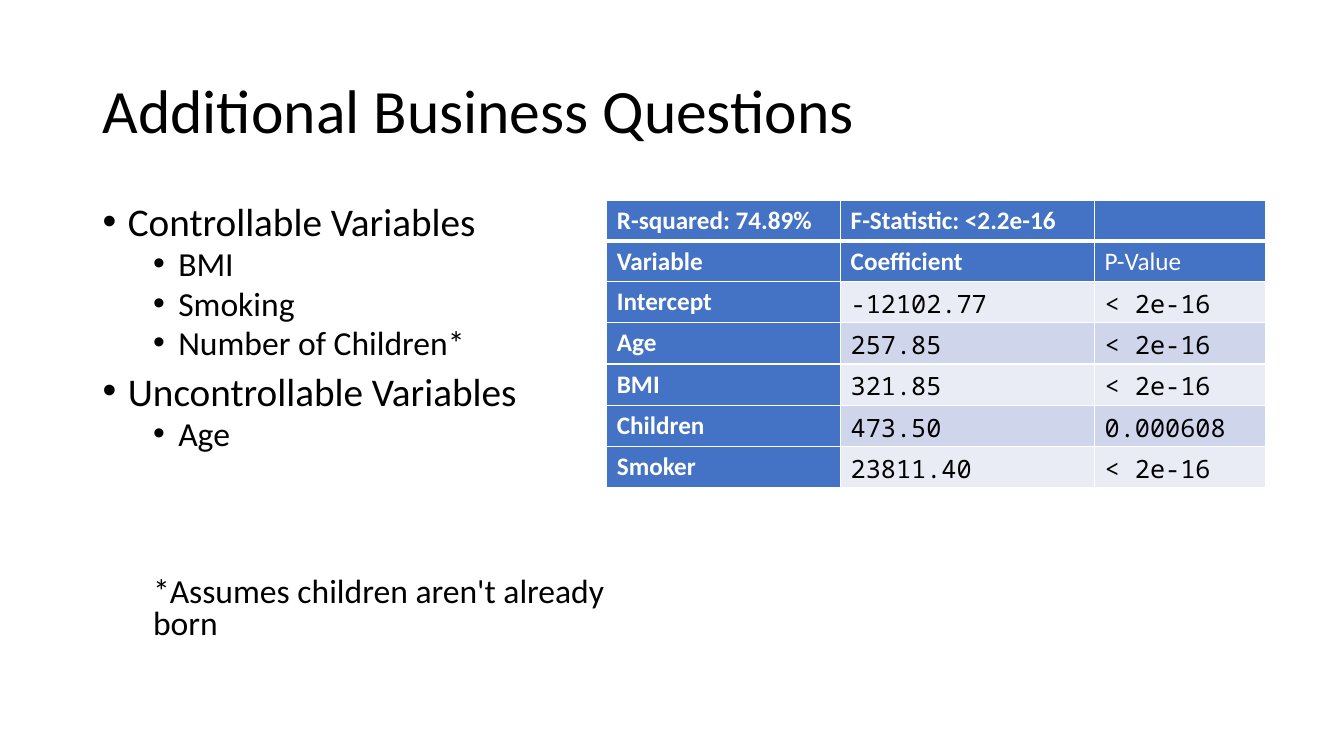
"""Build the slide on additional business questions with its regression table."""
from dataclasses import dataclass

from lxml.etree import SubElement
from pptx import Presentation
from pptx.dml.color import RGBColor as Rgb
from pptx.enum.text import MSO_ANCHOR as Anchor
from pptx.oxml.ns import qn
from pptx.util import Emu, Inches, Pt

TITLE = "Additional Business Questions"
VARIABLES = {
    "Controllable Variables": ["BMI", "Smoking", "Number of Children*"],
    "Uncontrollable Variables": ["Age"],
}
FOOTNOTE = "*Assumes children aren't already born"
REGRESSION = [
    ("R-squared: 74.89%", "F-Statistic: <2.2e-16", ""),
    ("Variable", "Coefficient", "P-Value"),
    ("Intercept", "-12102.77", "< 2e-16"),
    ("Age", "257.85", "< 2e-16"),
    ("BMI", "321.85", "< 2e-16"),
    ("Children", "473.50", "0.000608"),
    ("Smoker", "23811.40", "< 2e-16"),
]
HEADER_ROWS = 2
PLAIN_HEADING = "P-Value"
COLUMN_WIDTHS = (2.32, 2.52, 1.7)
ROW_HEIGHTS = [0.4] * HEADER_ROWS + [0.41] * (len(REGRESSION) - HEADER_ROWS)
TITLE_BOX = (0.92, 0.4, 11.5, 1.45)
BODY_BOX = (0.92, 2, 5.22, 4.76)
TABLE_CORNER = (6.02, 1.99)


@dataclass(frozen=True)
class Theme:
    """Hold the colours, fonts and type sizes."""
    ink: str = "000000"
    paper: str = "FFFFFF"
    accent: str = "4472C4"
    bands: tuple = ("E9EBF5", "CFD5EA")
    sans: str = "Calibri"
    mono: str = "Noto Sans Mono"
    title: int = 44
    group: int = 28
    item: int = 24
    cell: int = 18


THEME = Theme()


def write(frame, text, *, size, font=THEME.sans, color=THEME.ink, bold=False,
          spacing=None, before=0, indent=0, bullet=False):
    """Write one paragraph into a text frame, using its empty first one if free."""
    first = frame.paragraphs[0]
    paragraph = frame.add_paragraph() if first.runs else first
    paragraph.space_before = Pt(before)
    if spacing:
        paragraph.line_spacing = spacing
    paragraph.font.size = Pt(size)
    properties = paragraph._p.get_or_add_pPr()
    properties.set("marL", str(Inches(indent)))
    if bullet:
        properties.set("indent", str(Inches(-0.25)))
        mark_font = properties.makeelement(qn("a:buFont"), {"typeface": "Arial"})
        mark = properties.makeelement(qn("a:buChar"), {"char": "•"})
        place = properties.index(properties.find(qn("a:defRPr")))
        properties[place:place] = [mark_font, mark]
    if text:
        run = paragraph.add_run()
        run.text = text
        run.font.name, run.font.size, run.font.bold = font, Pt(size), bold
        run.font.color.rgb = Rgb.from_string(color)


def add_frame(slide, box):
    """Add a wrapping text box and return its text frame."""
    frame = slide.shapes.add_textbox(*map(Inches, box)).text_frame
    frame.word_wrap = True
    return frame


def paint_cell(cell, fill, bottom):
    """Give a cell its borders and fill."""
    properties = cell._tc.get_or_add_tcPr()
    for side, width in (("L", 1), ("R", 1), ("T", 1), ("B", bottom)):
        line = SubElement(properties, qn(f"a:ln{side}"), w=str(Pt(width)))
        solid = SubElement(line, qn("a:solidFill"))
        SubElement(solid, qn("a:srgbClr"), val=THEME.paper)
    cell.fill.solid()
    cell.fill.fore_color.rgb = Rgb.from_string(fill)


def add_regression(slide):
    """Add the table of coefficients and P-values."""
    size = (sum(COLUMN_WIDTHS), sum(ROW_HEIGHTS))
    table = slide.shapes.add_table(
        len(REGRESSION), len(COLUMN_WIDTHS),
        *map(Inches, TABLE_CORNER + size)).table
    table.horz_banding = False
    for column, width in zip(table.columns, COLUMN_WIDTHS):
        column.width = Inches(width)
    for r, (values, height) in enumerate(zip(REGRESSION, ROW_HEIGHTS)):
        table.rows[r].height = Inches(height)
        for c, value in enumerate(values):
            cell = table.cell(r, c)
            heading = r < HEADER_ROWS or c == 0
            band = THEME.bands[(r - HEADER_ROWS) % 2]
            paint_cell(cell, THEME.accent if heading else band, 1 if r else 3)
            write(cell.text_frame, value, size=THEME.cell,
                  font=THEME.sans if heading else THEME.mono,
                  color=THEME.paper if heading else THEME.ink,
                  bold=heading and value != PLAIN_HEADING)


def main():
    """Lay out the slide and save it."""
    deck = Presentation()
    deck.slide_width, deck.slide_height = Emu(12192000), Inches(7.5)
    slide = deck.slides.add_slide(deck.slide_layouts[6])

    heading = add_frame(slide, TITLE_BOX)
    heading.vertical_anchor = Anchor.MIDDLE
    write(heading, TITLE, size=THEME.title, spacing=0.9)

    outline = add_frame(slide, BODY_BOX)
    for group, items in VARIABLES.items():
        write(outline, group, size=THEME.group, spacing=0.8, before=10,
              indent=0.25, bullet=True)
        for item in items:
            write(outline, item, size=THEME.item, spacing=0.8, before=5,
                  indent=0.75, bullet=True)
    write(outline, FOOTNOTE, size=THEME.item, spacing=0.8, before=89, indent=0.5)

    add_regression(slide)
    deck.save("out.pptx")


if __name__ == "__main__":
    main()
